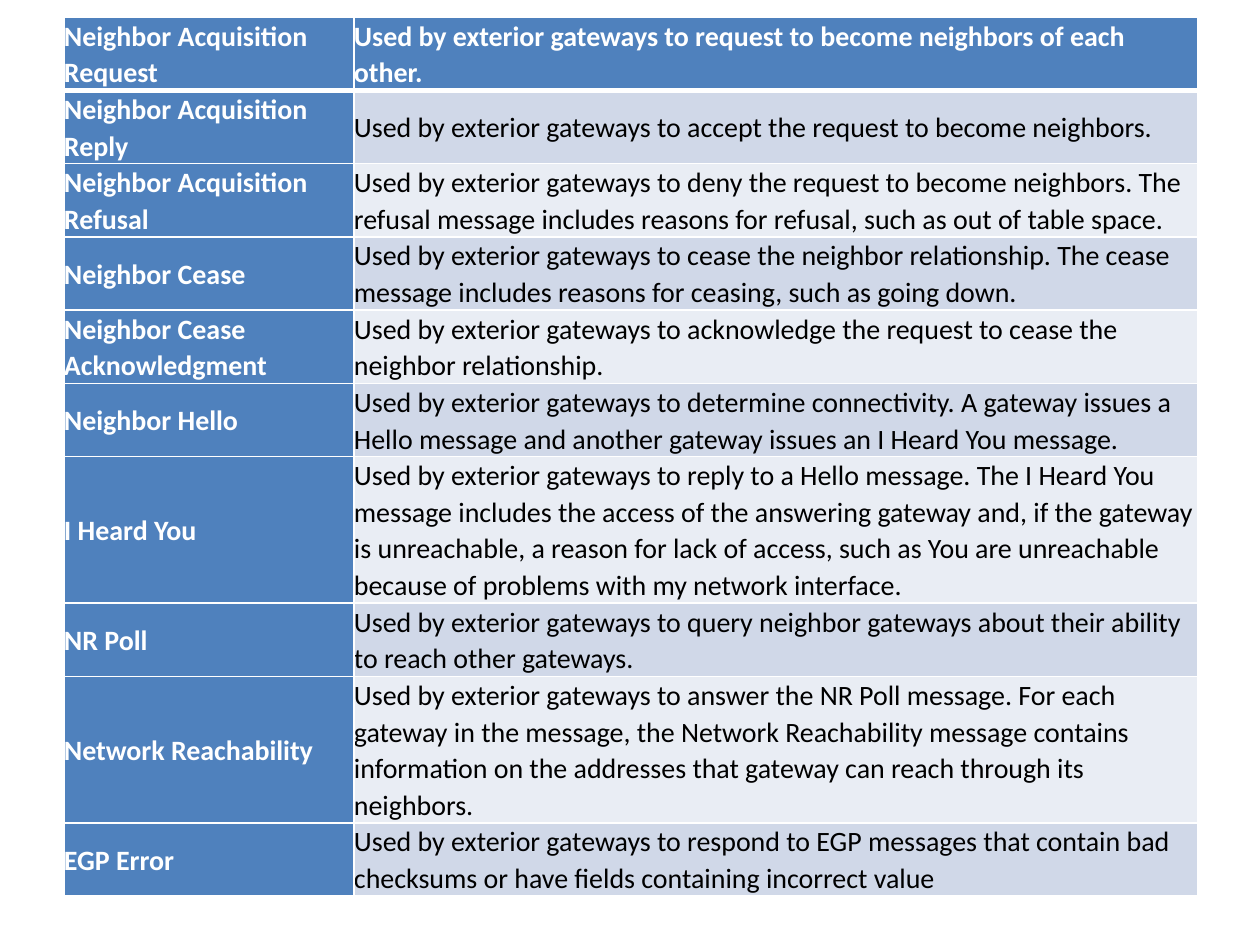
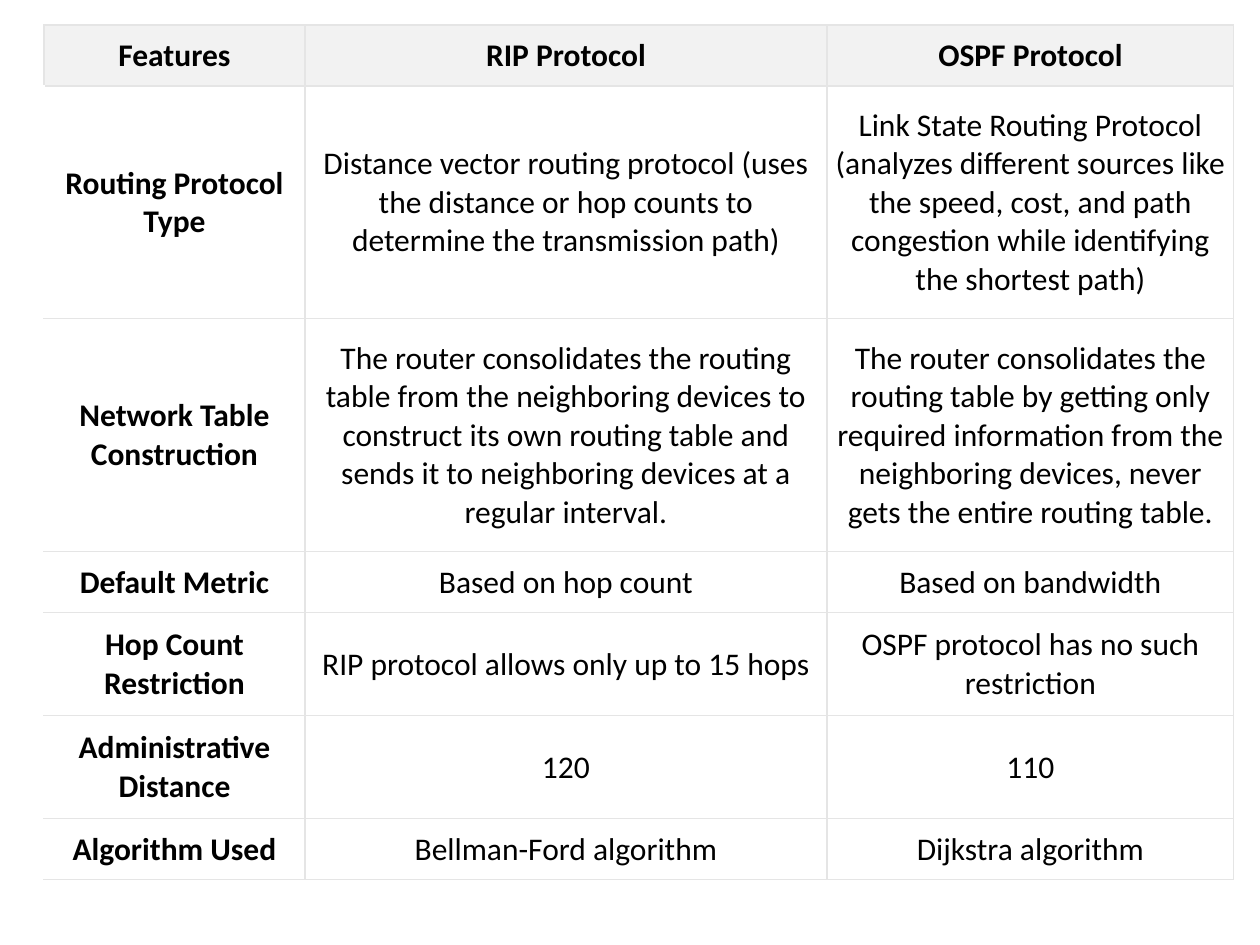
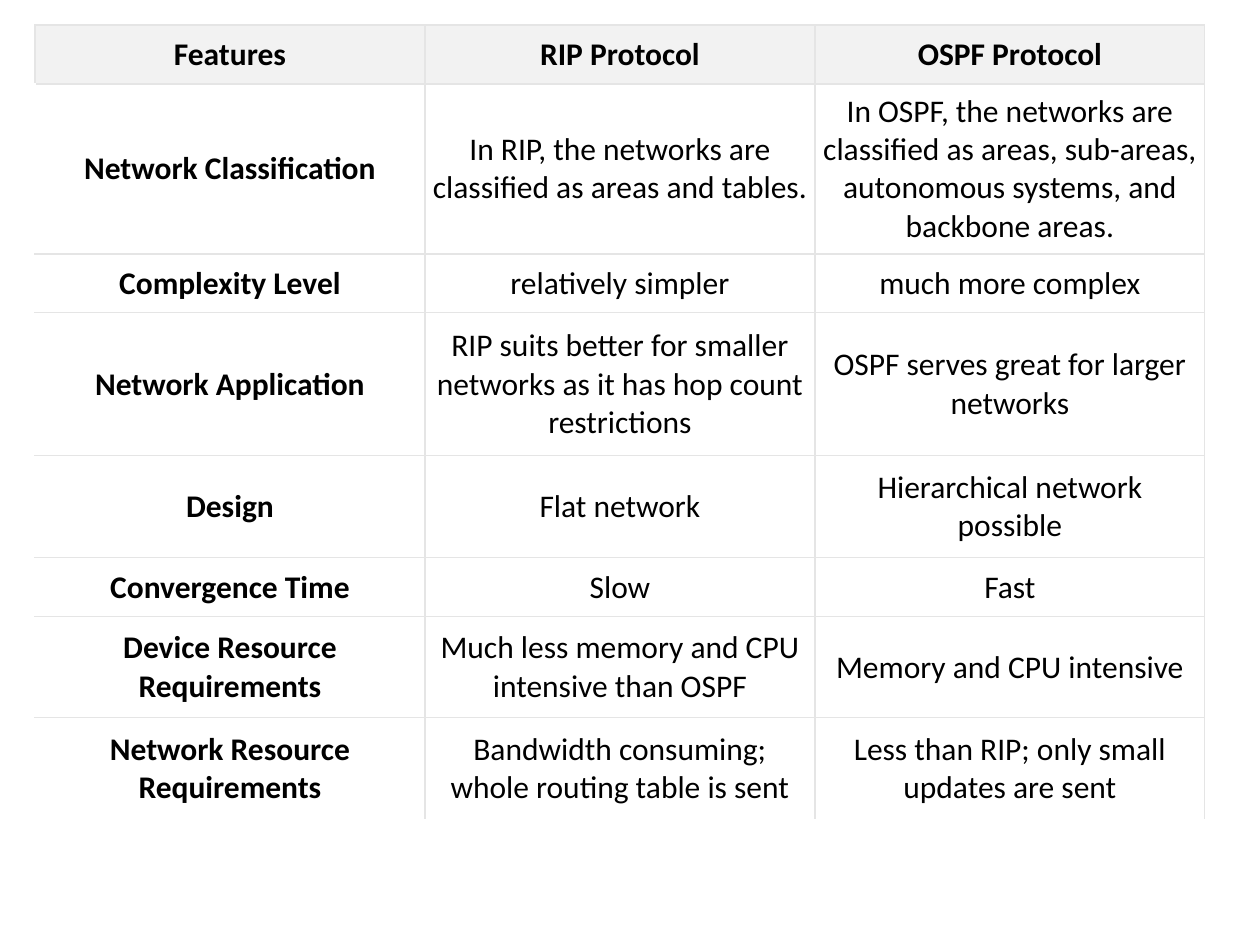
import pptx
import pptx.dml.color
import pptx.enum.text
import pptx.oxml.ns
import pptx.util
import lxml.etree

EMU_PER_PX = 914400 / 126
COLORS = {
    "white": "FFFFFF", "black": "000000", "blue": "4F81BD",
    "band_dark": "D0D8E8", "band_light": "E9EDF4",
    "header_gray": "F2F2F2", "grid_gray": "E5E5E5",
}
SIDES = {"left": "lnL", "right": "lnR", "top": "lnT", "bottom": "lnB"}
CENTER = pptx.enum.text.PP_ALIGN.CENTER
LEFT = pptx.enum.text.PP_ALIGN.LEFT


def px(length):
    return pptx.util.Emu(round(length * EMU_PER_PX))


class DeckBuilder:
    """Holds the shared style and the current slide."""

    font = "Calibri"

    def __init__(self, width, height):
        self.deck = pptx.Presentation()
        self.deck.slide_width = px(width)
        self.deck.slide_height = px(height)
        self.slide = None

    def add_slide(self):
        self.slide = self.deck.slides.add_slide(self.deck.slide_layouts[6])

    def table(self, left, top, widths, heights):
        frame = self.slide.shapes.add_table(
            len(heights), len(widths), px(left), px(top),
            px(sum(widths)), px(sum(heights)))
        table = frame.table
        table.first_row = table.horz_banding = False
        for column, width in zip(table.columns, widths):
            column.width = px(width)
        for row, height in zip(table.rows, heights):
            row.height = px(height)
        return table

    def text(self, cell, text, size, color, bold, align, inset, spacing):
        cell.margin_left = cell.margin_right = px(inset)
        cell.margin_top = cell.margin_bottom = px(inset)
        cell.vertical_anchor = pptx.enum.text.MSO_ANCHOR.MIDDLE
        para = cell.text_frame.paragraphs[0]
        para.text = text
        para.alignment = align
        para.line_spacing = spacing
        span = para.runs[0]
        span.font.name = self.font
        span.font.size = pptx.util.Pt(size)
        span.font.bold = bold
        span.font.color.rgb = pptx.dml.color.RGBColor.from_string(COLORS[color])

    def borders(self, cell, color, widths):
        """Draw the sides named in widths, in points; call before fill."""
        properties = cell._tc.get_or_add_tcPr()
        for side, tag in SIDES.items():
            if side not in widths:
                continue
            line = lxml.etree.SubElement(
                properties, pptx.oxml.ns.qn("a:" + tag),
                w=str(pptx.util.Pt(widths[side])))
            fill = lxml.etree.SubElement(line, pptx.oxml.ns.qn("a:solidFill"))
            lxml.etree.SubElement(
                fill, pptx.oxml.ns.qn("a:srgbClr"), val=COLORS[color])

    def fill(self, cell, color):
        if color is None:
            cell.fill.background()
        else:
            cell.fill.solid()
            cell.fill.fore_color.rgb = pptx.dml.color.RGBColor.from_string(
                COLORS[color])

    def message_table(self, left, top, widths, heights, messages):
        """Blue header row and first column, banded descriptions."""
        self.add_slide()
        table = self.table(left, top, widths, heights)
        for row, texts in enumerate(messages):
            for column, text in enumerate(texts):
                cell = table.cell(row, column)
                heading = row == 0 or column == 0
                band = "band_dark" if row % 2 else "band_light"
                lines = dict.fromkeys(SIDES, 1)
                if row == 0:
                    lines["bottom"] = 3
                elif row == 1:
                    lines["top"] = 3
                self.text(cell, text, 16, "white" if heading else "black",
                          heading, LEFT, 0, 1.07)
                self.borders(cell, "white", lines)
                self.fill(cell, "blue" if heading else band)

    def comparison_table(self, left, top, widths, heights, features,
                         closed=True):
        """Gray header row and thin grid, open on the left below the header."""
        self.add_slide()
        table = self.table(left, top, widths, heights)
        for row, texts in enumerate([COMPARISON_HEADER] + features):
            for column, text in enumerate(texts):
                cell = table.cell(row, column)
                lines = dict.fromkeys(SIDES, 0.75)
                if row > 0 and column == 0:
                    del lines["left"]
                if row == len(features) and not closed:
                    del lines["bottom"]
                self.text(cell, text, 18, "black", row == 0 or column == 0,
                          CENTER, 7, 1.0)
                self.borders(cell, "grid_gray", lines)
                self.fill(cell, "header_gray" if row == 0 else None)


EGP_MESSAGES = [
    ("Neighbor Acquisition Request",
     "Used by exterior gateways to request to become neighbors of each other."),
    ("Neighbor Acquisition Reply",
     "Used by exterior gateways to accept the request to become neighbors."),
    ("Neighbor Acquisition Refusal",
     "Used by exterior gateways to deny the request to become neighbors. "
     "The refusal message includes reasons for refusal, such as out of table space."),
    ("Neighbor Cease",
     "Used by exterior gateways to cease the neighbor relationship. "
     "The cease message includes reasons for ceasing, such as going down."),
    ("Neighbor Cease Acknowledgment",
     "Used by exterior gateways to acknowledge the request to cease the "
     "neighbor relationship."),
    ("Neighbor Hello",
     "Used by exterior gateways to determine connectivity. A gateway issues "
     "a Hello message and another gateway issues an I Heard You message."),
    ("I Heard You",
     "Used by exterior gateways to reply to a Hello message. The I Heard "
     "You message includes the access of the answering gateway and, if the "
     "gateway is unreachable, a reason for lack of access, such as You are "
     "unreachable because of problems with my network interface."),
    ("NR Poll",
     "Used by exterior gateways to query neighbor gateways about their "
     "ability to reach other gateways."),
    ("Network Reachability",
     "Used by exterior gateways to answer the NR Poll message. For each "
     "gateway in the message, the Network Reachability message contains "
     "information on the addresses that gateway can reach through its neighbors."),
    ("EGP Error",
     "Used by exterior gateways to respond to EGP messages that contain bad "
     "checksums or have fields containing incorrect value"),
]

COMPARISON_HEADER = ("Features", "RIP Protocol", "OSPF Protocol")

ROUTING_FEATURES = [
    ("Routing Protocol Type",
     "Distance vector routing protocol (uses the distance or hop counts to "
     "determine the transmission path)",
     "Link State Routing Protocol (analyzes different sources like the speed, "
     "cost, and path congestion while identifying the shortest path)"),
    ("Network Table Construction",
     "The router consolidates the routing table from the neighboring devices "
     "to construct its own routing table and sends it to neighboring devices "
     "at a regular interval.",
     "The router consolidates the routing table by getting only required "
     "information from the neighboring devices, never gets the entire "
     "routing table."),
    ("Default Metric", "Based on hop count", "Based on bandwidth"),
    ("Hop Count Restriction", "RIP protocol allows only up to 15 hops",
     "OSPF protocol has no such restriction"),
    ("Administrative Distance", "120", "110"),
    ("Algorithm Used", "Bellman-Ford algorithm", "Dijkstra algorithm"),
]

NETWORK_FEATURES = [
    ("Network Classification",
     "In RIP, the networks are classified as areas and tables.",
     "In OSPF, the networks are classified as areas, sub-areas, autonomous "
     "systems, and backbone areas."),
    ("Complexity Level", "relatively simpler", "much more complex"),
    ("Network Application",
     "RIP suits better for smaller networks as it has hop count restrictions",
     "OSPF serves great for larger networks"),
    ("Design", "Flat network", "Hierarchical network possible"),
    ("Convergence Time", "Slow", "Fast"),
    ("Device Resource Requirements",
     "Much less memory and CPU intensive than OSPF",
     "Memory and CPU intensive"),
    ("Network Resource Requirements",
     "Bandwidth consuming; whole routing table is sent",
     "Less than RIP; only small updates are sent"),
]


def main():
    builder = DeckBuilder(1260, 945)

    # EGP message types: rows of two or four text lines
    line_counts = [2, 2, 2, 2, 2, 2, 4, 2, 4, 2]
    builder.message_table(64, 17, [290, 844],
                          [count * 73 // 2 for count in line_counts],
                          EGP_MESSAGES)

    # RIP and OSPF: routing behaviour
    builder.comparison_table(44, 25, [261, 522, 407],
                             [61, 233, 233, 61, 103, 103, 61],
                             ROUTING_FEATURES)

    # RIP and OSPF: network use
    builder.comparison_table(35, 25, [390] * 3,
                             [59, 170, 59, 143, 102, 59, 101, 102],
                             NETWORK_FEATURES, closed=False)

    builder.deck.save("out.pptx")


if __name__ == "__main__":
    main()
